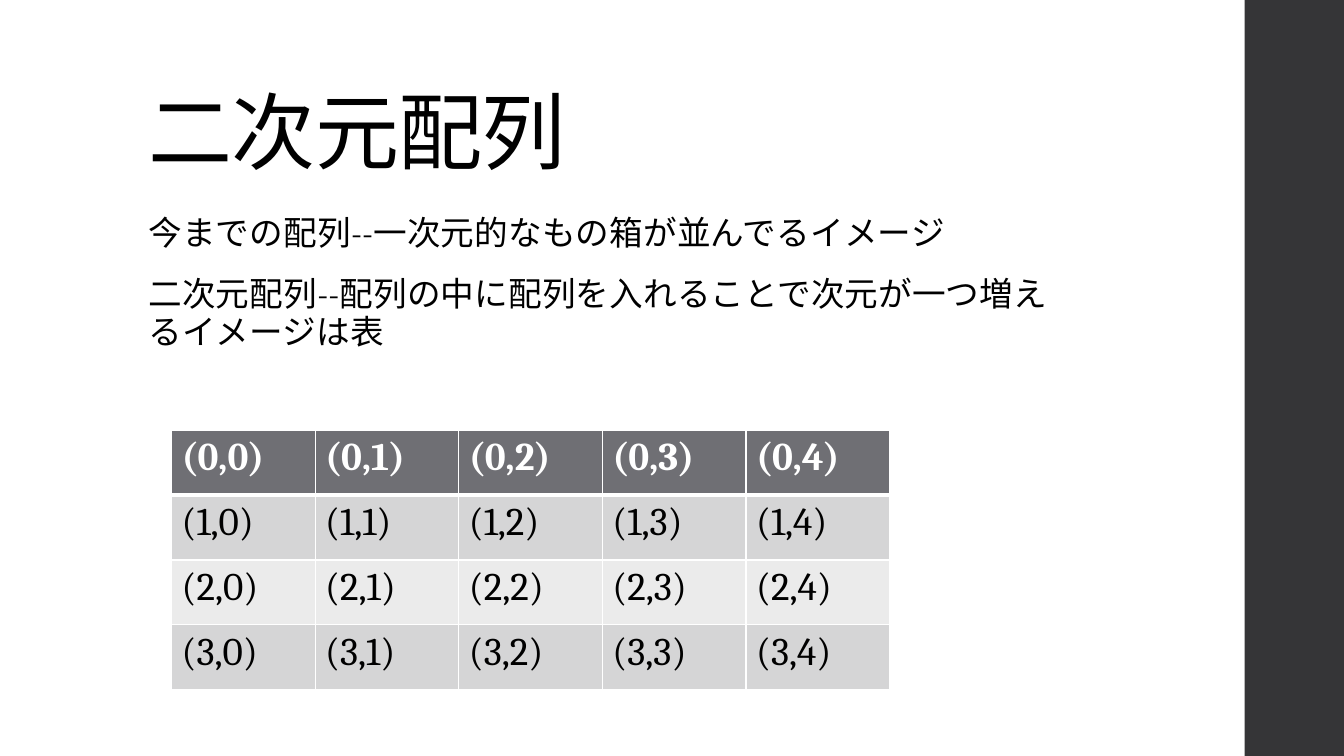
"""Build a slide that introduces two-dimensional arrays with an index table."""
import lxml.etree
import pptx
import pptx.dml.color
import pptx.enum.shapes
import pptx.enum.text
import pptx.oxml.ns
import pptx.util

Pt = pptx.util.Pt
RGBColor = pptx.dml.color.RGBColor

BLACK = RGBColor(0x00, 0x00, 0x00)
WHITE = RGBColor(0xFF, 0xFF, 0xFF)
SIDEBAR_GRAY = RGBColor(0x35, 0x35, 0x37)
HEADER_GRAY = RGBColor(0x6F, 0x6F, 0x74)
DARK_BAND = RGBColor(0xD5, 0xD5, 0xD6)
LIGHT_BAND = RGBColor(0xEB, 0xEB, 0xEB)
FONT = "Cambria"
TITLE = "二次元配列"
EXPLANATIONS = [
    "今までの配列--一次元的なもの箱が並んでるイメージ",
    "二次元配列--配列の中に配列を入れることで次元が一つ増えるイメージは表",
]
ROWS, COLUMNS = 4, 5


def add_run(paragraph, text, size, color, bold=False, spacing=0):
    run = paragraph.add_run()
    run.text = text
    run.font.name = FONT
    run.font.size = Pt(size)
    run.font.bold = bold
    run.font.color.rgb = color
    if spacing:
        run.font._element.set("spc", str(spacing))


def add_text_frame(slide, left, top, width, height, anchor):
    frame = slide.shapes.add_textbox(Pt(left), Pt(top), Pt(width), Pt(height)).text_frame
    frame.word_wrap = True
    frame.vertical_anchor = anchor
    return frame


def add_sidebar(slide, left, top, width, height):
    sidebar = slide.shapes.add_shape(
        pptx.enum.shapes.MSO_SHAPE.RECTANGLE, Pt(left), Pt(top), Pt(width), Pt(height))
    sidebar.shadow.inherit = False
    sidebar.fill.solid()
    sidebar.fill.fore_color.rgb = SIDEBAR_GRAY
    sidebar.line.fill.background()


def add_title(slide, left, top, width, height):
    frame = add_text_frame(slide, left, top, width, height, pptx.enum.text.MSO_ANCHOR.BOTTOM)
    paragraph = frame.paragraphs[0]
    paragraph.line_spacing = 0.9
    add_run(paragraph, TITLE, 60, BLACK, spacing=-50)


def add_explanations(slide, left, top, width, height):
    frame = add_text_frame(slide, left, top, width, height, pptx.enum.text.MSO_ANCHOR.TOP)
    for index, text in enumerate(EXPLANATIONS):
        paragraph = frame.add_paragraph() if index else frame.paragraphs[0]
        paragraph.line_spacing = 0.95
        paragraph.space_before = Pt(14)
        paragraph.space_after = Pt(2)
        add_run(paragraph, text, 24, BLACK, spacing=10)


def set_borders(cell, widths):
    properties = cell._tc.get_or_add_tcPr()
    for side, width in widths.items():
        line = lxml.etree.SubElement(
            properties, pptx.oxml.ns.qn(f"a:ln{side}"), w=str(Pt(width)))
        fill = lxml.etree.SubElement(line, pptx.oxml.ns.qn("a:solidFill"))
        lxml.etree.SubElement(fill, pptx.oxml.ns.qn("a:srgbClr"), val=str(WHITE))


def add_index_table(slide, left, top, width, height):
    table = slide.shapes.add_table(
        ROWS, COLUMNS, Pt(left), Pt(top), Pt(width), Pt(height)).table
    table.first_row = False
    table.horz_banding = False
    for row in range(ROWS):
        is_header = row == 0
        band = HEADER_GRAY if is_header else DARK_BAND if row % 2 else LIGHT_BAND
        for column in range(COLUMNS):
            cell = table.cell(row, column)
            set_borders(cell, {"L": 1, "R": 1, "T": 3 if row == 1 else 1,
                               "B": 3 if is_header else 1})
            cell.fill.solid()
            cell.fill.fore_color.rgb = band
            add_run(cell.text_frame.paragraphs[0], f"({row},{column})", 28,
                    WHITE if is_header else BLACK, bold=is_header)


def main():
    presentation = pptx.Presentation()
    presentation.slide_width = Pt(960)
    presentation.slide_height = Pt(540)
    slide = presentation.slides.add_slide(presentation.slide_layouts[6])
    add_sidebar(slide, 889, 0, 72, 540)
    add_title(slide, 99, 29, 763, 104)
    add_explanations(slide, 99, 150, 677, 343)
    add_index_table(slide, 122.5, 307.5, 513, 185)
    presentation.save("out.pptx")


if __name__ == "__main__":
    main()
